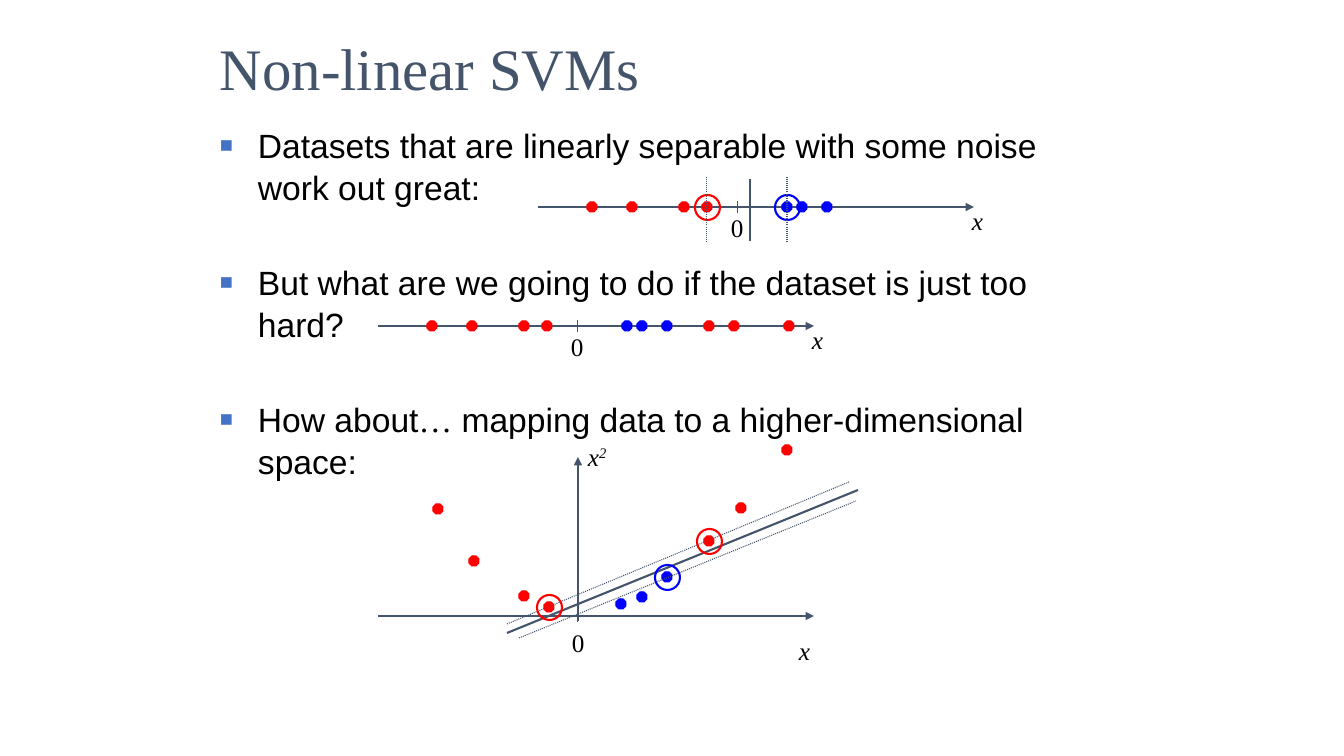
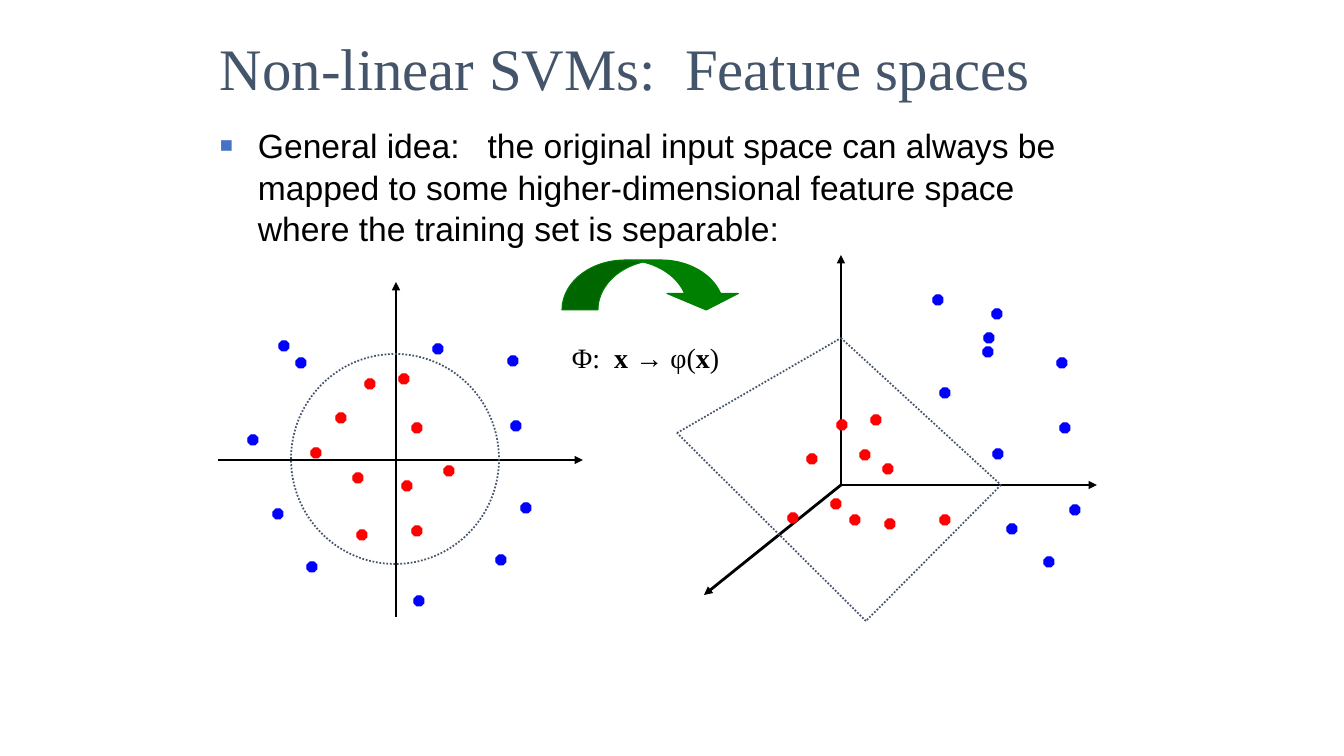
from pptx import Presentation
from pptx.dml.color import RGBColor
from pptx.enum.dml import MSO_LINE
from pptx.enum.shapes import MSO_CONNECTOR, MSO_SHAPE
from pptx.enum.text import MSO_ANCHOR, MSO_AUTO_SIZE
from pptx.oxml.ns import qn
from pptx.oxml.xmlchemy import OxmlElement
from pptx.util import Emu, Pt

SCALE = 914400 / 100.8
SLATE = RGBColor(0x44, 0x54, 0x6A)
BULLET_BLUE = RGBColor(0x44, 0x72, 0xC4)
BLACK = RGBColor(0, 0, 0)
RED = RGBColor(0xFF, 0, 0)
BLUE = RGBColor(0, 0, 0xFF)
GREEN = RGBColor(0, 0x80, 0)

STRAIGHT = MSO_CONNECTOR.STRAIGHT
OCTAGON = MSO_SHAPE.OCTAGON
OVAL = MSO_SHAPE.OVAL
CURVED_ARROW = MSO_SHAPE.CURVED_DOWN_ARROW
DOTTED = MSO_LINE.ROUND_DOT
MIDDLE = MSO_ANCHOR.MIDDLE
TOP = MSO_ANCHOR.TOP
GROW = MSO_AUTO_SIZE.SHAPE_TO_FIT_TEXT
FIXED = MSO_AUTO_SIZE.NONE

SERIF = "Times New Roman"
TITLE = {"name": SERIF, "size": Pt(42)}
BODY = {"name": "Arial", "size": Pt(24)}
ELLIPSIS = {**BODY, "name": SERIF}
LABEL = {"name": SERIF, "size": Pt(18)}
VARIABLE = {**LABEL, "italic": True}
FORMULA = {"name": SERIF, "size": Pt(20)}
VECTOR = {**FORMULA, "bold": True}

DOT_SIZE = 10
RING_SIZE = 25
AXIS_LENGTH = 436
ZERO_OFFSET = 200


def px(value):
    """Turn a length in px into EMU."""
    return Emu(round(value * SCALE))


def add_xml(parent, tag, **attributes):
    """Append an element with attributes to a parent element."""
    element = OxmlElement(tag)
    for name, value in attributes.items():
        element.set(name, str(value))
    parent.append(element)
    return element


def add_runs(paragraph, runs, color):
    """Write (text, format) pairs as runs of one paragraph."""
    for text, values in runs:
        run = paragraph.add_run()
        run.text = text
        for name, value in values.items():
            setattr(run.font, name, value)
        run.font.color.rgb = color


def add_text_box(slide, box, **frame_format):
    """Add an empty wrapping text box and return its frame."""
    frame = slide.shapes.add_textbox(*map(px, box)).text_frame
    values = {"word_wrap": True, "auto_size": FIXED, "vertical_anchor": TOP, **frame_format}
    for name, value in values.items():
        setattr(frame, name, value)
    return frame


def add_title(slide, text, width):
    """Add the slide title."""
    frame = add_text_box(slide, (210, 25, width, 84), vertical_anchor=MIDDLE)
    add_runs(frame.paragraphs[0], [(text, TITLE)], SLATE)


def add_label(slide, box, *runs):
    """Add a small text label and return its paragraph."""
    paragraph = add_text_box(slide, box, auto_size=GROW).paragraphs[0]
    add_runs(paragraph, runs, BLACK)
    return paragraph


def add_bullets(slide, items):
    """Add the body text, one square bullet per list of runs."""
    frame = add_text_box(slide, (210, 118, 907, 554))
    for index, runs in enumerate(items):
        paragraph = frame.add_paragraph() if index else frame.paragraphs[0]
        properties = paragraph._p.get_or_add_pPr()
        properties.set("marL", str(px(38)))
        properties.set("indent", str(px(-38)))
        add_xml(add_xml(properties, "a:buClr"), "a:srgbClr", val=BULLET_BLUE)
        add_xml(properties, "a:buSzPct", val=65000)
        add_xml(properties, "a:buFont", typeface="Arial")
        add_xml(properties, "a:buChar", char="■")
        paragraph.line_spacing = 1.04
        if index:
            paragraph.space_before = Pt(38)
        add_runs(paragraph, runs, BLACK)


def add_line(slide, start, end, color=SLATE, width=0.75, dash=None, arrow=False):
    """Add a straight line, dotted or with an arrowhead if asked."""
    connector = slide.shapes.add_connector(STRAIGHT, *map(px, (*start, *end)))
    line = connector.line
    line.color.rgb = color
    line.width = Pt(width)
    if dash:
        line.dash_style = dash
    properties = connector._element.spPr
    if arrow:
        add_xml(properties.find(qn("a:ln")), "a:tailEnd", type="triangle")
    add_xml(properties, "a:effectLst")


def add_arrow(slide, start, end, color=SLATE):
    """Add a coordinate axis."""
    add_line(slide, start, end, color, 2, arrow=True)


def add_preset(slide, kind, box, color, width=0.75, filled=True):
    """Add a preset shape outlined, and by default filled, in one colour."""
    shape = slide.shapes.add_shape(kind, *map(px, box))
    shape.shadow.inherit = False
    if filled:
        shape.fill.solid()
        shape.fill.fore_color.rgb = color
    else:
        shape.fill.background()
    shape.line.color.rgb = color
    shape.line.width = Pt(width)
    return shape


def add_dots(slide, color, centers):
    """Add data points around their centres."""
    for x, y in centers:
        box = (x - DOT_SIZE // 2, y - DOT_SIZE // 2, DOT_SIZE, DOT_SIZE)
        add_preset(slide, OCTAGON, box, color)


def add_ring(slide, color, x, y):
    """Circle a support vector."""
    box = (x - RING_SIZE // 2, y - RING_SIZE // 2, RING_SIZE, RING_SIZE)
    add_preset(slide, OVAL, box, color, 1.5, filled=False)


def add_axis(slide, left, y):
    """Add a horizontal axis with a tick at zero."""
    zero = left + ZERO_OFFSET
    add_arrow(slide, (left, y), (left + AXIS_LENGTH, y))
    add_line(slide, (zero, y - 6), (zero, y + 6))


def add_number_line(slide, left, y, reds, blues):
    """Add a labelled axis with data points at offsets from its left end."""
    add_axis(slide, left, y)
    add_label(slide, (left + 183, y, 38, 40), ("0", LABEL))
    add_label(slide, (left + 424, y - 7, 50, 40), ("x", VARIABLE))
    for color, offsets in ((RED, reds), (BLUE, blues)):
        add_dots(slide, color, [(left + offset, y) for offset in offsets])


def add_mapped_plot(slide):
    """Plot the data against x and its square, with the separating line."""
    add_axis(slide, 378, 616)
    add_arrow(slide, (578, 621), (578, 457))
    add_label(slide, (562, 622, 38, 40), ("0", LABEL))
    add_label(slide, (789, 630, 50, 40), ("x", VARIABLE))
    square = add_label(slide, (578, 436, 50, 40), ("x", VARIABLE), ("2", VARIABLE))
    square.runs[1].font._element.set("baseline", "30000")
    add_dots(slide, RED, [(438, 509), (474, 561), (524, 596), (549, 607),
                          (709, 541), (741, 508), (787, 450)])
    add_dots(slide, BLUE, [(621, 604), (642, 597), (667, 577)])
    add_line(slide, (507, 633), (858, 490), width=1.5)
    add_line(slide, (507, 624), (849, 482), dash=DOTTED)
    add_line(slide, (519, 638), (856, 501), dash=DOTTED)
    for color, x, y in ((RED, 709, 541), (BLUE, 667, 577), (RED, 549, 607)):
        add_ring(slide, color, x, y)


def build_datasets_slide(slide):
    """Compare separable, hard and mapped data sets."""
    add_title(slide, "Non-linear SVMs", 529)
    add_bullets(slide, [
        [("Datasets that are linearly separable with some noise work out great:", BODY)],
        [("But what are we going to do if the dataset is just too hard?", BODY)],
        [("How about", BODY), ("…", ELLIPSIS),
         (" mapping data to a higher-dimensional space:", BODY)],
    ])
    near_reds, far_reds = (54, 94, 146, 169), (331, 356, 411)
    blues = (249, 264, 289)
    add_number_line(slide, 378, 326, near_reds + far_reds, blues)
    add_number_line(slide, 538, 207, near_reds, blues)
    add_line(slide, (750, 179), (750, 241), width=1.5)
    for color, x in ((BLUE, 787), (RED, 707)):
        add_ring(slide, color, x, 207)
        add_line(slide, (x, 242), (x, 177), dash=DOTTED)
    add_mapped_plot(slide)


def add_input_space(slide):
    """Plot the flat data with a circular boundary."""
    add_arrow(slide, (396, 617), (396, 282), BLACK)
    add_arrow(slide, (218, 460), (583, 460), BLACK)
    add_dots(slide, RED, [(404, 379), (341, 418), (358, 478), (417, 531), (370, 384),
                          (316, 453), (362, 535), (417, 428), (449, 471), (407, 486)])
    add_dots(slide, BLUE, [(516, 426), (501, 560), (253, 440), (419, 601), (526, 508),
                           (312, 567), (278, 514), (284, 346), (438, 349), (301, 363),
                           (513, 361)])
    boundary = add_preset(slide, OVAL, (291, 354, 208, 210), SLATE, 1.25, filled=False)
    boundary.line.dash_style = DOTTED


def add_feature_space(slide):
    """Plot the mapped data with a separating plane."""
    origin = (841, 485)
    for end in ((841, 255), (1097, 485), (704, 595)):
        add_arrow(slide, origin, end, BLACK)
    add_dots(slide, RED, [(876, 420), (812, 459), (855, 520), (945, 520), (842, 425),
                          (865, 455), (890, 524), (888, 469), (836, 504), (793, 518)])
    add_dots(slide, BLUE, [(1065, 428), (1049, 562), (997, 314), (998, 454), (1075, 510),
                           (945, 393), (1012, 529), (989, 338), (988, 352), (938, 300),
                           (1062, 363)])
    corners = [(841, 338), (1001, 485), (866, 621), (677, 433)]
    for start, end in zip(corners, corners[1:] + corners[:1]):
        add_line(slide, start, end, width=1.25, dash=DOTTED)


def build_feature_slide(slide):
    """Show the mapping from input space to feature space."""
    add_title(slide, "Non-linear SVMs:  Feature spaces", 857)
    add_bullets(slide, [[(
        "General idea:   the original input space can always be mapped to some "
        "higher-dimensional feature space where the training set is separable:", BODY)]])
    add_input_space(slide)
    add_feature_space(slide)
    arrow = add_preset(slide, CURVED_ARROW, (562, 260, 180, 50), GREEN)
    for index, value in enumerate((0.72, 1.43, 0.33)):
        arrow.adjustments[index] = value
    add_label(slide, (562, 336, 210, 43), ("Φ:  ", FORMULA), ("x → ", VECTOR),
              ("φ(", FORMULA), ("x", VECTOR), (")", FORMULA))


def main():
    """Build and save the presentation."""
    presentation = Presentation()
    presentation.slide_width = px(1344)
    presentation.slide_height = px(756)
    blank = presentation.slide_layouts[6]
    for build in (build_datasets_slide, build_feature_slide):
        build(presentation.slides.add_slide(blank))
    presentation.save("out.pptx")


if __name__ == "__main__":
    main()
